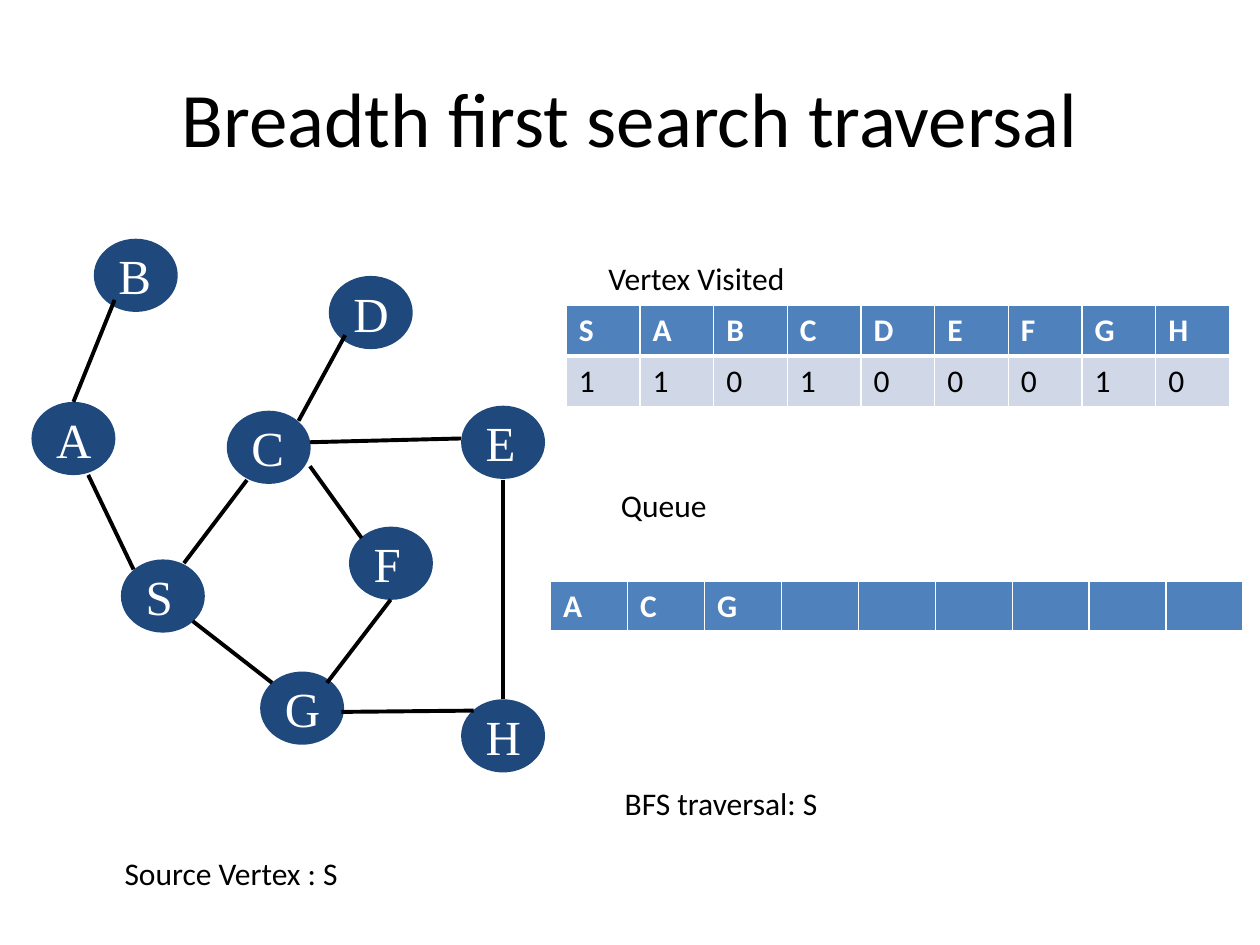
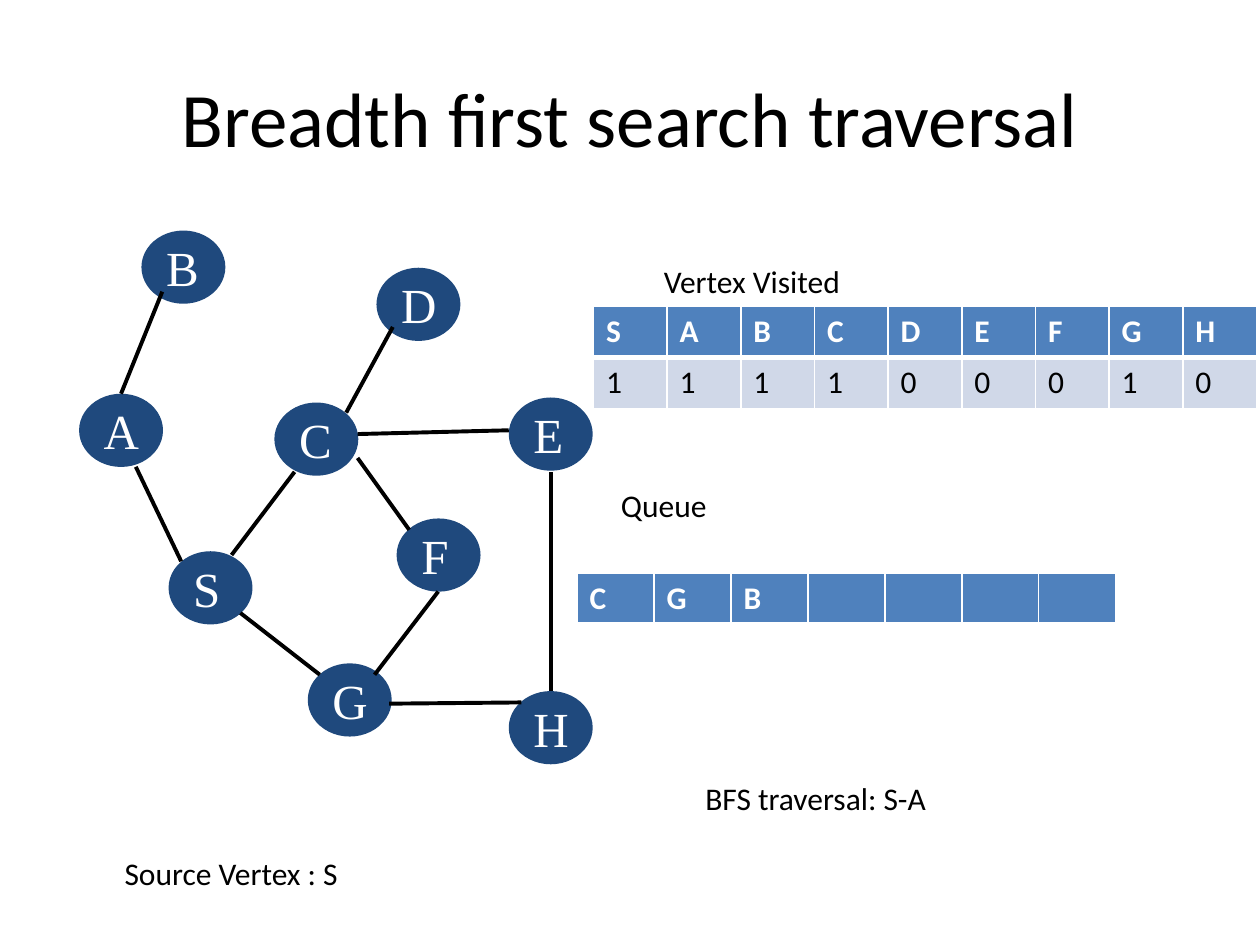
"""Builds two steps of a breadth first search walkthrough."""
from lxml import etree
from pptx import Presentation
from pptx.dml.color import RGBColor
from pptx.enum.shapes import MSO_CONNECTOR, MSO_SHAPE
from pptx.enum.text import MSO_ANCHOR, MSO_AUTO_SIZE, PP_ALIGN
from pptx.oxml.ns import qn
from pptx.util import Inches, Pt

STRAIGHT = MSO_CONNECTOR.STRAIGHT
OVAL = MSO_SHAPE.OVAL
MIDDLE = MSO_ANCHOR.MIDDLE
GROW = MSO_AUTO_SIZE.SHAPE_TO_FIT_TEXT
LEFT, CENTER = PP_ALIGN.LEFT, PP_ALIGN.CENTER

BLACK = RGBColor(0x00, 0x00, 0x00)
WHITE = RGBColor(0xFF, 0xFF, 0xFF)
NAVY = RGBColor(0x1F, 0x49, 0x7D)
BLUE = RGBColor(0x4F, 0x81, 0xBD)
PALE = RGBColor(0xD0, 0xD8, 0xE8)

COLUMNS, ROWS = 100, 75
NODE_WIDTH, NODE_HEIGHT = 6.66, 5.81
LABEL_WIDTH, LABEL_HEIGHT = 46.7, 4.04
ROW_HEIGHT = 4.06
VISITED_CELL, QUEUE_CELL = 5.85, 6.11

VERTICES = {
    "D": (26.1, 21.9), "S": (9.6, 44.4), "C": (18, 32.6),
    "B": (7.45, 18.95), "A": (2.5, 31.9), "G": (20.65, 53.3),
    "F": (27.7, 41.8), "E": (36.6, 32.2), "H": (36.6, 55.5),
}
EDGES = [
    ((25.95, 54.2), (31, 47.6)), ((10.6, 45.2), (7, 37.7)),
    ((14.6, 44.7), (19.6, 38.1)), ((23.7, 33.4), (27.4, 26.6)),
    ((15.3, 49.3), (21.6, 54.2)), ((28.7, 42.7), (24.6, 37)),
    ((24.6, 35.1), (36.6, 34.8)), ((27.1, 56.5), (37.6, 56.4)),
]
EDGES_FROM_TOP = {"A": (9.1, 23.8), "H": (39.93, 38.1)}

STEPS = [
    {"graph_shift": (0, 0), "visited": "110100010", "visited_at": (44.95, 24.2),
     "visited_label": (47.3, 20.1), "queue": "ACG", "queue_slots": 9,
     "queue_at": (43.7, 46.1), "order": "S", "order_at": (48.6, 61.7)},
    {"graph_shift": (3.78, -0.65), "visited": "111100010", "visited_at": (47.1, 24.3),
     "visited_label": (51.7, 20.3), "queue": "CGB", "queue_slots": 7,
     "queue_at": (45.8, 45.5), "order": "S-A", "order_at": (55, 61.3)},
]


class Deck:
    """Holds the grid, the text style and the current slide."""

    def __init__(self):
        """Set up a 10 by 7.5 inch presentation."""
        self.presentation = Presentation()
        self.presentation.slide_width = Inches(10)
        self.presentation.slide_height = Inches(7.5)
        self.slide = None

    def x(self, columns):
        """Turn grid columns into a length."""
        return round(self.presentation.slide_width * columns / COLUMNS)

    def y(self, rows):
        """Turn grid rows into a length."""
        return round(self.presentation.slide_height * rows / ROWS)

    def box(self, at, width, height):
        """Turn a grid position and size into lengths."""
        return self.x(at[0]), self.y(at[1]), self.x(width), self.y(height)

    def new_slide(self):
        """Start a blank slide."""
        self.slide = self.presentation.slides.add_slide(self.presentation.slide_layouts[6])

    def add_words(self, frame, words, size=18, color=BLACK, face="Calibri", bold=False,
                  align=LEFT):
        """Add one run to the first paragraph of a frame."""
        paragraph = frame.paragraphs[0]
        paragraph.alignment = align
        run = paragraph.add_run()
        run.text = words
        run.font.name, run.font.size, run.font.bold = face, Pt(size), bold
        run.font.color.rgb = color

    def title(self, words):
        """Add the centred heading."""
        frame = self.slide.shapes.add_textbox(*self.box((5, 3), 90, 12.5)).text_frame
        frame.word_wrap = True
        frame.vertical_anchor = MIDDLE
        self.add_words(frame, words, size=44, align=CENTER)

    def label(self, words, at):
        """Add a line of body text."""
        frame = self.slide.shapes.add_textbox(*self.box(at, LABEL_WIDTH, LABEL_HEIGHT)).text_frame
        frame.word_wrap = True
        frame.auto_size = GROW
        self.add_words(frame, words)

    def vertex(self, group, name, at):
        """Add a named vertex to the graph."""
        oval = group.shapes.add_shape(OVAL, *self.box(at, NODE_WIDTH, NODE_HEIGHT))
        oval.shadow.inherit = False
        oval.fill.solid()
        oval.fill.fore_color.rgb = NAVY
        oval.line.fill.background()
        oval.text_frame.word_wrap = False
        oval.text_frame.vertical_anchor = MIDDLE
        self.add_words(oval.text_frame, name, 28, WHITE, "Times New Roman")
        return oval

    def edge(self, group, start, end):
        """Add a line between two grid points."""
        line = group.shapes.add_connector(
            STRAIGHT, self.x(start[0]), self.y(start[1]), self.x(end[0]), self.y(end[1]))
        line.line.color.rgb = BLACK
        line.line.width = Pt(2.25)
        etree.SubElement(line._element.spPr, qn("a:effectLst"))
        return line

    def graph(self, shift):
        """Draw the whole graph, moved by a number of columns and rows."""
        def moved(point):
            return point[0] + shift[0], point[1] + shift[1]

        group = self.slide.shapes.add_group_shape()
        ovals = {name: self.vertex(group, name, moved(at)) for name, at in VERTICES.items()}
        for start, end in EDGES:
            self.edge(group, moved(start), moved(end))
        for name, end in EDGES_FROM_TOP.items():
            self.edge(group, moved(VERTICES[name]), moved(end)).begin_connect(ovals[name], 0)

    def borders(self, cell, top, bottom):
        """Give a cell white borders, one point wide at the sides."""
        properties = cell._tc.get_or_add_tcPr()
        for side, width in (("L", 1), ("R", 1), ("T", top), ("B", bottom)):
            border = etree.SubElement(properties, qn(f"a:ln{side}"), w=str(Pt(width)))
            fill = etree.SubElement(border, qn("a:solidFill"))
            etree.SubElement(fill, qn("a:srgbClr"), val=str(WHITE))

    def table(self, rows, at, cell_width):
        """Add a table with a blue heading row and pale rows below."""
        count = len(rows[0])
        table = self.slide.shapes.add_table(
            len(rows), count, *self.box(at, count * cell_width, len(rows) * ROW_HEIGHT)).table
        table.horz_banding = False
        for column in table.columns:
            column.width = self.x(cell_width)
        for r, values in enumerate(rows):
            heading = r == 0
            table.rows[r].height = self.y(ROW_HEIGHT)
            for c, value in enumerate(values):
                cell = table.cell(r, c)
                self.borders(cell, 3 if r == 1 else 1, 3 if heading else 1)
                cell.fill.solid()
                cell.fill.fore_color.rgb = BLUE if heading else PALE
                if value:
                    self.add_words(cell.text_frame, value, color=WHITE if heading else BLACK,
                                   bold=heading)


def main():
    """Build every step and save the deck."""
    deck = Deck()
    for step in STEPS:
        deck.new_slide()
        deck.title("Breadth first search traversal")
        deck.graph(step["graph_shift"])
        deck.table(["SABCDEFGH", step["visited"]], step["visited_at"], VISITED_CELL)
        deck.label("Vertex Visited", step["visited_label"])
        waiting = list(step["queue"])
        empty = [""] * (step["queue_slots"] - len(waiting))
        deck.table([waiting + empty], step["queue_at"], QUEUE_CELL)
        deck.label("Queue", (48.3, 38.1))
        deck.label("Source Vertex : S", (8.9, 67.3))
        deck.label(f"BFS traversal: {step['order']}", step["order_at"])
    deck.presentation.save("out.pptx")


if __name__ == "__main__":
    main()
